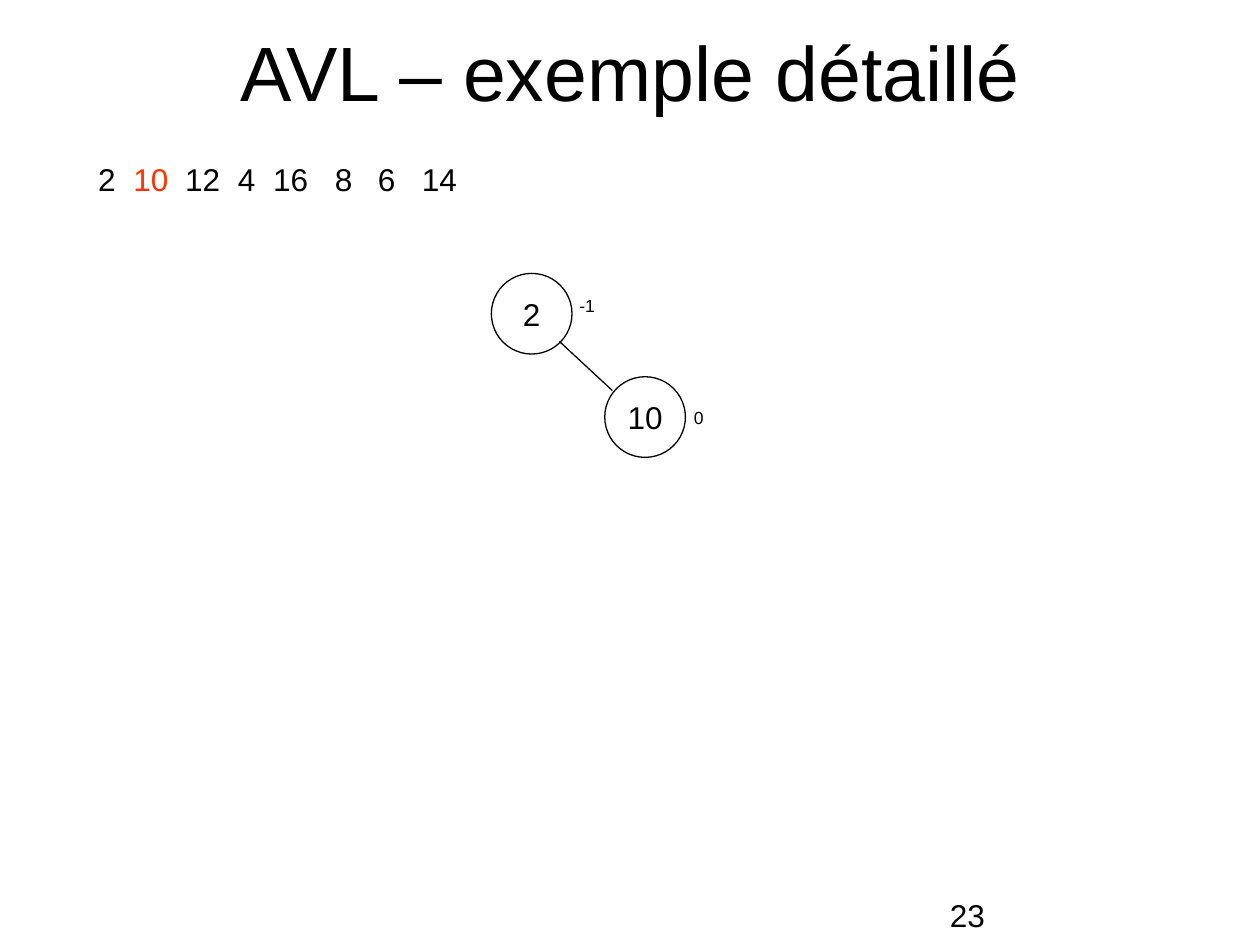
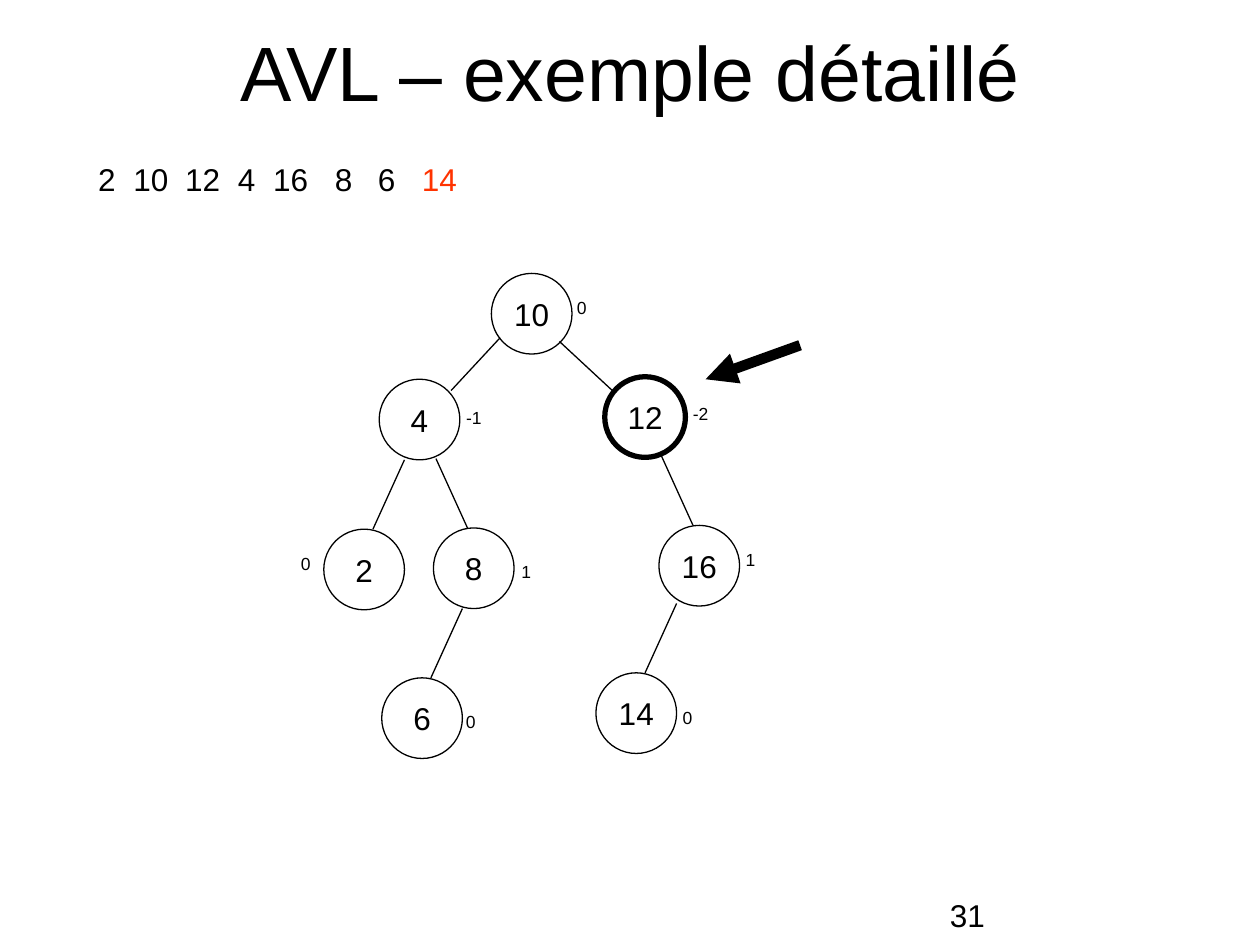
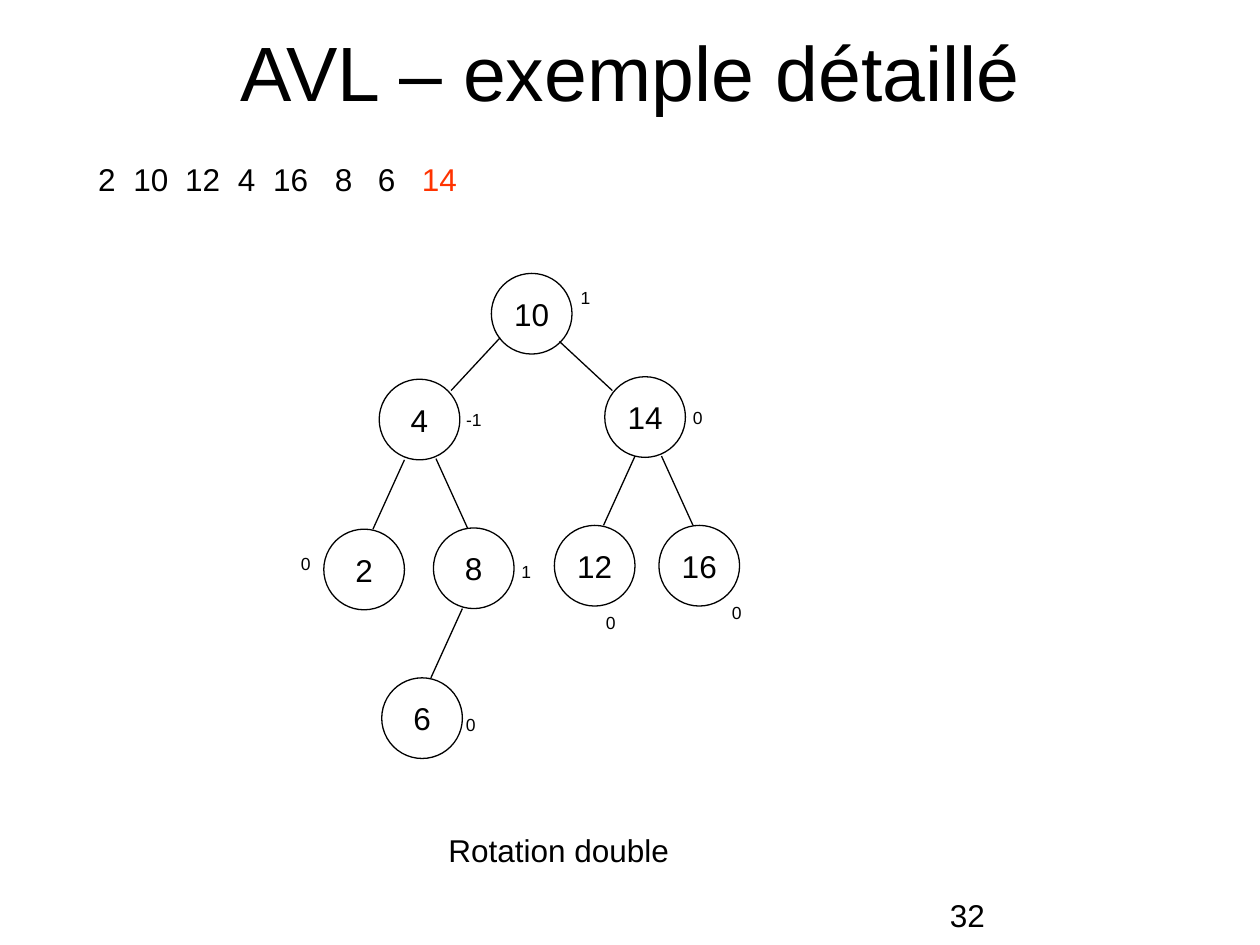
from lxml.etree import SubElement
from pptx import Presentation
from pptx.dml.color import RGBColor
from pptx.enum.shapes import MSO_CONNECTOR as Link, MSO_SHAPE as Preset
from pptx.enum.text import MSO_ANCHOR as Anchor, MSO_AUTO_SIZE as Fit, PP_ALIGN as Align
from pptx.oxml.ns import qn
from pptx.util import Inches, Pt

COLORS = {"ink": "000000", "inserted": "FF3300"}
FONT = "Arial"
TITLE = "AVL – exemple détaillé"

# Boxes: left, top, width, height
TITLE_BOX = (0.2, 0.13, 9.61, 0.87)
KEYS_BOX = (0.68, 1.22, 3.19, 0.4)
CAPTION_BOX = (3.46, 6.55, 1.95, 0.4)
NUMBER_BOX = (7.44, 7.06, 2.36, 0.28)
TREE_ORIGIN = (2.57, 2.17)

# Inserted keys and the tab stop before each one after the first
KEYS = ["2", "10", "12", "4", "16", "8", "6", "14"]
KEY_STOPS = [0.28, 0.69, 1.11, 1.39, 1.88, 2.22, 2.57]

# Node places within the tree; a name spells the way down from the root
NODE_SIZE = 0.64
PLACES = {
    "": (1.33, 0), "L": (0.44, 0.84), "R": (2.23, 0.82),
    "LL": (0, 2.03), "LR": (0.87, 2.02), "RL": (1.83, 2), "RR": (2.66, 2),
    "LRL": (0.46, 3.21), "RRL": (2.16, 3.17),
}
# Edge into a child: its end within the child, and its run from the parent
TOP_EDGES = {"L": ((0.57, 0.09), (-0.39, 0.42)), "R": ((0.06, 0.11), (0.42, 0.39))}
LOWER_EDGES = {"L": ((0.39, 0), (-0.25, 0.55)), "R": ((0.27, 0), (0.25, 0.55))}

# Each node: key, balance, and the balance's offset from the node
LEFT_LEAVES = {"LL": ("2", "0", (-0.28, 0.14)), "LR": ("8", "1", (0.6, 0.21))}
STEPS = [
    {"number": "23", "inserted": "10", "nodes": {
        "": ("2", "-1", (0.6, 0.12)),
        "R": ("10", "0", (0.61, 0.19))}},
    {"number": "31", "inserted": "14", "unbalanced": "R", "nodes": {
        "": ("10", "0", (0.58, 0.14)),
        "L": ("4", "-1", (0.59, 0.17)),
        "R": ("12", "-2", (0.6, 0.16)),
        **LEFT_LEAVES,
        "RR": ("16", "1", (0.59, 0.14)),
        "LRL": ("6", "0", (0.57, 0.21)),
        "RRL": ("14", "0", (0.59, 0.22))}},
    {"number": "32", "inserted": "14", "caption": "Rotation double", "nodes": {
        "": ("10", "1", (0.61, 0.06)),
        "L": ("4", "-1", (0.59, 0.19)),
        "R": ("14", "0", (0.6, 0.19)),
        **LEFT_LEAVES,
        "RL": ("12", "0", (0.31, 0.64)),
        "RR": ("16", "0", (0.48, 0.56)),
        "LRL": ("6", "0", (0.57, 0.24))}},
]


def rgb(name):
    return RGBColor.from_string(COLORS[name])


def write(holder, *runs, size=18, align=Align.LEFT, anchor=Anchor.TOP,
          inset=(0.1, 0.05), wrap=True):
    """Fill a shape with one paragraph of strings or (string, colour) pairs."""
    frame = holder.text_frame
    frame.auto_size, frame.word_wrap = Fit.NONE, wrap
    frame.vertical_anchor = anchor
    frame.margin_left = frame.margin_right = Inches(inset[0])
    frame.margin_top = frame.margin_bottom = Inches(inset[1])
    paragraph = frame.paragraphs[0]
    paragraph.alignment = align
    for piece in runs:
        text, color = (piece, "ink") if isinstance(piece, str) else piece
        run = paragraph.add_run()
        run.text = text
        run.font.name, run.font.size = FONT, Pt(size)
        run.font.color.rgb = rgb(color)
    return paragraph


def add_text(slide, box, *runs, **style):
    return write(slide.shapes.add_textbox(*map(Inches, box)), *runs, **style)


def add_line(slide, start, end, width=0.75, arrow=False):
    line = slide.shapes.add_connector(Link.STRAIGHT, *map(Inches, (*start, *end)))
    line.line.color.rgb, line.line.width = rgb("ink"), Pt(width)
    properties = line._element.spPr
    if arrow:
        SubElement(properties.find(qn("a:ln")), qn("a:tailEnd"), type="triangle")
    SubElement(properties, qn("a:effectLst"))


def add_title(slide, box):
    title = slide.shapes.title
    title.left, title.top, title.width, title.height = map(Inches, box)
    write(title, TITLE, size=44, align=Align.CENTER, anchor=Anchor.MIDDLE)


def add_keys(slide, box, inserted):
    runs = []
    for index, key in enumerate(KEYS):
        if index:
            runs.append("\t")
        runs.append((key, "inserted" if key == inserted else "ink"))
    paragraph = add_text(slide, box, *runs)
    stops = SubElement(paragraph._p.get_or_add_pPr(), qn("a:tabLst"))
    for stop in KEY_STOPS:
        SubElement(stops, qn("a:tab"), pos=str(Inches(stop)), algn="l")


def add_node(slide, left, top, key, heavy):
    node = slide.shapes.add_shape(
        Preset.OVAL, *map(Inches, (left, top, NODE_SIZE, NODE_SIZE)))
    node.shadow.inherit = False
    node.fill.background()
    node.line.color.rgb, node.line.width = rgb("ink"), Pt(3 if heavy else 0.75)
    write(node, key, align=Align.CENTER, anchor=Anchor.MIDDLE, inset=(0, 0), wrap=False)


def add_tree(slide, origin, nodes, unbalanced=None):
    for place, (key, balance, (dx, dy)) in nodes.items():
        left, top = (a + b for a, b in zip(origin, PLACES[place]))
        add_node(slide, left, top, key, place == unbalanced)
        # Edge from the parent
        if place:
            edges = TOP_EDGES if len(place) == 1 else LOWER_EDGES
            (end_x, end_y), (run_x, run_y) = edges[place[-1]]
            end = (left + end_x, top + end_y)
            add_line(slide, (end[0] - run_x, end[1] - run_y), end)
        # Balance factor
        width = 0.32 if len(balance) > 1 else 0.27
        add_text(slide, (left + dx, top + dy, width, 0.27), balance, size=10, wrap=False)
        # Arrow to the node out of balance
        if place == unbalanced:
            add_line(slide, (left + 1.55, top - 0.25), (left + 0.8, top + 0.02),
                     width=6, arrow=True)


def add_step(deck, step):
    slide = deck.slides.add_slide(deck.slide_layouts.get_by_name("Title Only"))
    add_title(slide, TITLE_BOX)
    add_keys(slide, KEYS_BOX, step["inserted"])
    add_tree(slide, TREE_ORIGIN, step["nodes"], step.get("unbalanced"))
    if "caption" in step:
        add_text(slide, CAPTION_BOX, step["caption"], wrap=False)
    add_text(slide, NUMBER_BOX, step["number"])


def main():
    deck = Presentation()
    deck.slide_width, deck.slide_height = Inches(10), Inches(7.5)
    for step in STEPS:
        add_step(deck, step)
    deck.save("out.pptx")


if __name__ == "__main__":
    main()
